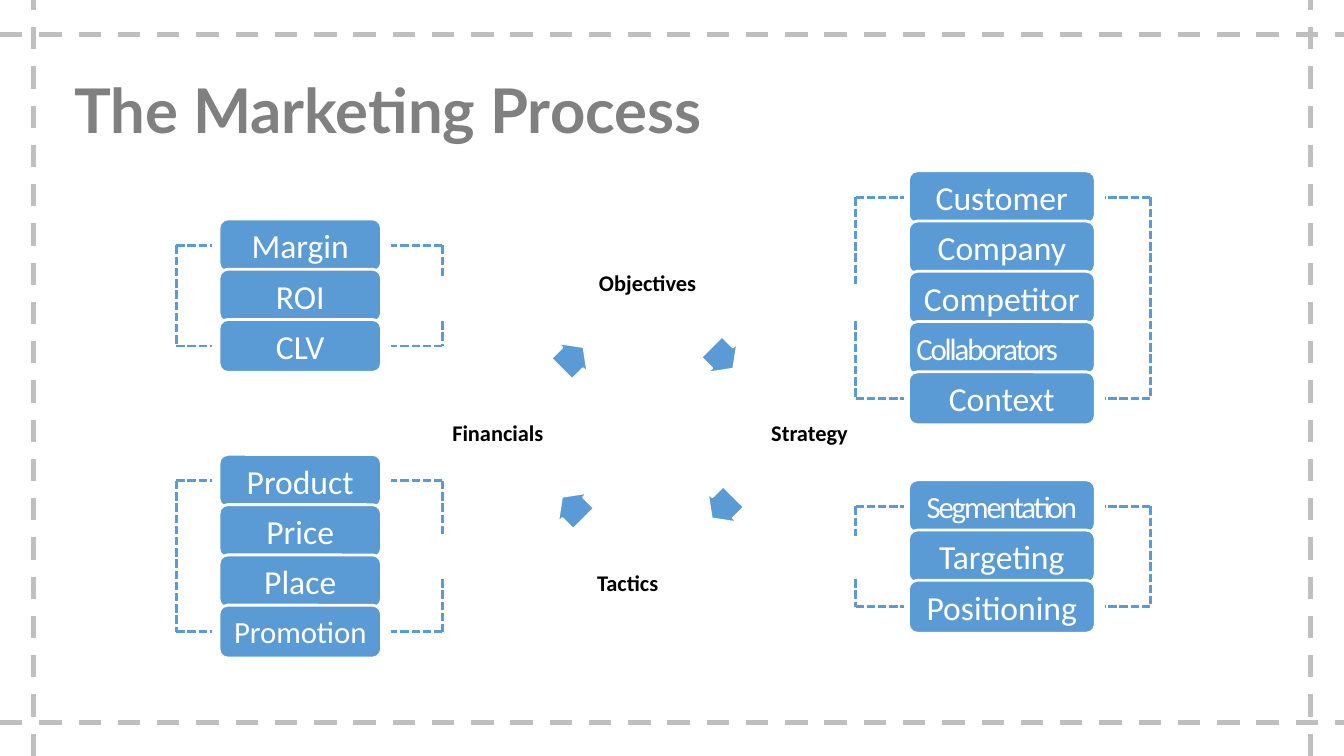
import math

import pptx
import pptx.util
import pptx.dml.color
import pptx.enum.dml
import pptx.enum.shapes
import pptx.enum.text
from lxml import etree

Cm, Pt = pptx.util.Cm, pptx.util.Pt
RGBColor = pptx.dml.color.RGBColor
MSO_SHAPE = pptx.enum.shapes.MSO_SHAPE
MSO_LINE = pptx.enum.dml.MSO_LINE
ALIGN = pptx.enum.text.PP_ALIGN

BLUE = RGBColor(0x5B, 0x9B, 0xD5)
WHITE = RGBColor(0xFF, 0xFF, 0xFF)
BLACK = RGBColor(0x00, 0x00, 0x00)
GREY = RGBColor(0x80, 0x80, 0x80)
SILVER = RGBColor(0xBF, 0xBF, 0xBF)

# Content
TITLE = "The Marketing Process"
# Ring labels, clockwise from the top
STAGES = [("Objectives", ALIGN.CENTER), ("Strategy", ALIGN.RIGHT),
          ("Tactics", ALIGN.LEFT), ("Financials", ALIGN.CENTER)]
# side, top, opening of the inner bracket, items
STACKS = [
    ("right", 3.23, (5.36, 6.07),
     ["Customer", "Company", "Competitor", "Collaborators", "Context"]),
    ("right", 9.07, (10.13, 10.95), ["Segmentation", "Targeting", "Positioning"]),
    ("left", 4.14, (5.21, 6.07), ["Margin", "ROI", "CLV"]),
    ("left", 8.59, (10.13, 10.95), ["Product", "Price", "Place", "Promotion"]),
]
# Long words are set smaller or tighter
FITTED = {
    "Collaborators": dict(size=16.5, spacing=-1.1, align=ALIGN.JUSTIFY),
    "Segmentation": dict(size=16.5, spacing=-1.1),
    "Promotion": dict(size=16.5),
}

# Layout in cm
WIDTH, HEIGHT = 25.4, 14.29
SIDES = {  # box left and width; (bracket x, tick end x) inside and outside
    "right": dict(left=17.17, width=3.53, inner=(16.17, 17.09), outer=(21.74, 20.88)),
    "left": dict(left=4.14, width=3.07, inner=(8.36, 7.39), outer=(3.33, 4.01)),
}
BOX_H, PITCH = 1.0, 0.95
RING_X, RING_Y, RADIUS = 12.24, 8.18, 2.83
LABEL_W, LABEL_H = 2.11, 0.7
ARROW_W, ARROW_H = 0.58, 0.79

prs = pptx.Presentation()
prs.slide_width, prs.slide_height = Cm(WIDTH), Cm(HEIGHT)
s = prs.slides.add_slide(prs.slide_layouts[5])


def write(shape, text, font="Calibri", size=18, color=WHITE, bold=False,
          align=ALIGN.CENTER, spacing=None, inset=0.1, line_spacing=None):
    tf = shape.text_frame
    tf.word_wrap = True
    tf.auto_size = pptx.enum.text.MSO_AUTO_SIZE.NONE
    tf.vertical_anchor = pptx.enum.text.MSO_ANCHOR.MIDDLE
    tf.margin_left = tf.margin_right = tf.margin_top = tf.margin_bottom = Cm(inset)
    p = tf.paragraphs[0]
    p.alignment = align
    if line_spacing:
        p.line_spacing = line_spacing
    r = p.add_run()
    r.text = text
    r.font.name, r.font.size, r.font.bold = font, Pt(size), bold
    r.font.color.rgb = color
    if spacing:
        r._r.get_or_add_rPr().set("spc", str(round(spacing * 100)))


def add_line(x1, y1, x2, y2, color=BLUE, width=1.5, dash=MSO_LINE.SQUARE_DOT):
    line = s.shapes.add_connector(pptx.enum.shapes.MSO_CONNECTOR.STRAIGHT,
                                  Cm(x1), Cm(y1), Cm(x2), Cm(y2))
    line.line.color.rgb = color
    line.line.width = Pt(width)
    line.line.dash_style = dash
    etree.SubElement(line._element.spPr, pptx.oxml.ns.qn("a:effectLst"))


def add_block(kind, x, y, w, h, outline):
    sp = s.shapes.add_shape(kind, Cm(x), Cm(y), Cm(w), Cm(h))
    sp.shadow.inherit = False
    sp.fill.solid()
    sp.fill.fore_color.rgb = BLUE
    sp.line.color.rgb = WHITE
    sp.line.width = Pt(outline)
    return sp


# Title
title = s.shapes.title
title.left, title.top, title.width, title.height = Cm(1.27), Cm(0.76), Cm(22.86), Cm(2.77)
write(title, TITLE, font="Lato", size=33, color=GREY, bold=True,
      align=ALIGN.LEFT, inset=0.13, line_spacing=0.9)

# Dashed frame
frame = dict(color=SILVER, width=3, dash=MSO_LINE.DASH)
for y in (0.65, 13.66):
    add_line(0, y, WIDTH, y, **frame)
for x in (0.63, WIDTH - 0.63):
    add_line(x, HEIGHT, x, 0, **frame)

# Stacks of boxes with their brackets
for side, top, (gap_top, gap_bottom), items in STACKS:
    place = SIDES[side]
    for i, item in enumerate(items):
        box = add_block(MSO_SHAPE.ROUNDED_RECTANGLE, place["left"], top + i * PITCH,
                        place["width"], BOX_H, 1.5)
        write(box, item, **FITTED.get(item, {}))
    first = top + BOX_H / 2
    last = first + (len(items) - 1) * PITCH
    for x, tick in (place["inner"], place["outer"]):
        for y in (first, last):
            add_line(x, y, tick, y)
    x = place["inner"][0]
    add_line(x, first, x, gap_top)
    add_line(x, gap_bottom, x, last)
    x = place["outer"][0]
    add_line(x, first, x, last)

# Ring of stages, each followed by an arrow to the next
for i, (stage, align) in enumerate(STAGES):
    angle = math.radians(90 * i - 90)
    x = RING_X + RADIUS * math.cos(angle)
    y = RING_Y + RADIUS * math.sin(angle)
    label = s.shapes.add_textbox(Cm(x - LABEL_W / 2), Cm(y - LABEL_H / 2),
                                 Cm(LABEL_W), Cm(LABEL_H))
    write(label, stage, size=12, color=BLACK, bold=True, align=align)

    angle += math.radians(45)
    reach = RADIUS / math.sqrt(2)
    x = RING_X + reach * math.cos(angle)
    y = RING_Y + reach * math.sin(angle)
    arrow = add_block(MSO_SHAPE.RIGHT_ARROW, x - ARROW_W / 2, y - ARROW_H / 2,
                      ARROW_W, ARROW_H, 1)
    arrow.adjustments[0], arrow.adjustments[1] = 0.7, 0.5
    arrow.rotation = 45 + 90 * i

prs.save("out.pptx")
